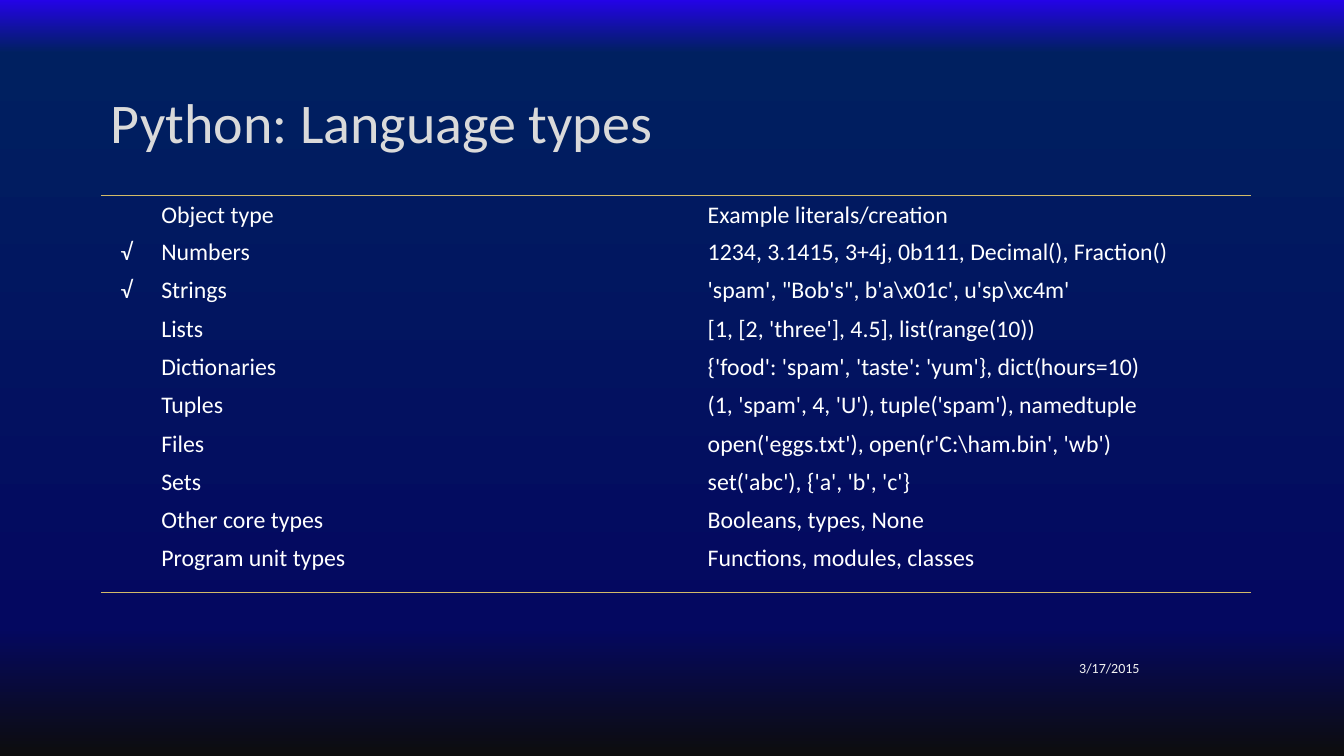
import pptx
import pptx.dml.color
import pptx.enum.text
import pptx.oxml
import pptx.oxml.ns
import pptx.util
from pptx.util import Inches

ALIGN = pptx.enum.text.PP_ALIGN
ANCHOR = pptx.enum.text.MSO_ANCHOR
NS = pptx.oxml.ns.nsdecls("a")

BACKGROUND_STOPS = [(0, "2403E7"), (7, "002060"), (83, "040860"), (100, "0D0D0D")]
GOLD = "D3BA68"
COLUMN_WIDTHS = [0.51, 5.42, 5.48]
ROW_HEIGHT, LAST_ROW_HEIGHT = 0.38, 0.52
LANGUAGE_TYPES = [
    ("", "Object type", "Example literals/creation"),
    ("√", "Numbers", "1234, 3.1415, 3+4j, 0b111, Decimal(), Fraction()"),
    ("√", "Strings", "'spam', \"Bob's\", b'a\\x01c', u'sp\\xc4m'"),
    ("", "Lists", "[1, [2, 'three'], 4.5], list(range(10))"),
    ("", "Dictionaries", "{'food': 'spam', 'taste': 'yum'}, dict(hours=10)"),
    ("", "Tuples", "(1, 'spam', 4, 'U'), tuple('spam'), namedtuple"),
    ("", "Files", "open('eggs.txt'), open(r'C:\\ham.bin', 'wb')"),
    ("", "Sets", "set('abc'), {'a', 'b', 'c'}"),
    ("", "Other core types", "Booleans, types, None"),
    ("", "Program unit types", "Functions, modules, classes"),
]


def rgb(value):
    return pptx.dml.color.RGBColor.from_string(value)


def xml(markup):
    """Parse a fragment whose root element holds the {ns} field."""
    return pptx.oxml.parse_xml(markup.replace("{ns}", NS))


def write(frame, text, size=17, color="FFFFFF", align=ALIGN.LEFT, font="Calibri"):
    """Put one formatted run in a text frame and return the run."""
    paragraph = frame.paragraphs[0]
    paragraph.alignment = align
    run = paragraph.add_run()
    run.text = text
    run.font.size = pptx.util.Pt(size)
    run.font.name = font
    run.font.color.rgb = rgb(color)
    return run


class TypesSlide:
    def __init__(self, deck):
        self.slide = deck.slides.add_slide(deck.slide_layouts[5])

    def background(self, stops):
        fill = self.slide.background.fill
        fill.gradient()
        fill.gradient_angle = 270
        stop_list = next(self.slide.element.iter(pptx.oxml.ns.qn("a:gsLst")))
        for stop in list(stop_list):
            stop_list.remove(stop)
        for position, color in stops:
            stop_list.append(xml(f'<a:gs {{ns}} pos="{position * 1000}">'
                                 f'<a:srgbClr val="{color}"/></a:gs>'))

    def title(self, text, left, top, width, height):
        heading = self.slide.shapes.title
        heading.left, heading.top = Inches(left), Inches(top)
        heading.width, heading.height = Inches(width), Inches(height)
        heading.text_frame.vertical_anchor = ANCHOR.MIDDLE
        run = write(heading.text_frame, text, size=40, color="DADADA")
        properties = run.font.fill._xPr
        properties.insert(0, xml(
            '<a:ln {ns} w="9525"><a:solidFill><a:srgbClr val="404040">'
            '<a:alpha val="10000"/></a:srgbClr></a:solidFill></a:ln>'))
        properties.insert(2, xml(
            '<a:effectLst {ns}><a:outerShdw blurRad="38100" dist="25400" dir="2700000">'
            '<a:srgbClr val="000000"><a:alpha val="60000"/></a:srgbClr>'
            '</a:outerShdw></a:effectLst>'))

    def text(self, text, left, top, width, height, **style):
        box = self.slide.shapes.add_textbox(
            Inches(left), Inches(top), Inches(width), Inches(height))
        box.text_frame.word_wrap = True
        box.text_frame.vertical_anchor = ANCHOR.MIDDLE
        write(box.text_frame, text, **style)

    def borders(self, cell, colors):
        """Draw the sides named in colors (L, R, T, B) and clear the others."""
        properties = cell._tc.get_or_add_tcPr()
        for index, side in enumerate("LRTB"):
            paint = "<a:noFill/>"
            if side in colors:
                paint = f'<a:solidFill><a:srgbClr val="{colors[side]}"/></a:solidFill>'
            properties.insert(index, xml(
                f'<a:ln{side} {{ns}} w="12700">{paint}</a:ln{side}>'))

    def table(self, rows, left, top):
        last = len(rows) - 1
        height = ROW_HEIGHT * last + LAST_ROW_HEIGHT
        grid = self.slide.shapes.add_table(
            len(rows), len(COLUMN_WIDTHS), Inches(left), Inches(top),
            Inches(sum(COLUMN_WIDTHS)), Inches(height)).table
        grid.first_row = grid.horz_banding = False
        for column, width in zip(grid.columns, COLUMN_WIDTHS):
            column.width = Inches(width)
        for r, values in enumerate(rows):
            grid.rows[r].height = Inches(LAST_ROW_HEIGHT if r == last else ROW_HEIGHT)
            for c, value in enumerate(values):
                cell = grid.cell(r, c)
                cell.fill.background()
                cell.margin_left = cell.margin_right = Inches(0.09)
                cell.margin_top = cell.margin_bottom = Inches(0.04 if value else 0)
                cell.vertical_anchor = ANCHOR.BOTTOM if r == 0 else ANCHOR.TOP
                self.borders(cell, {0: {"T": GOLD}, last: {"B": GOLD}}.get(r, {}))
                if value:
                    write(cell.text_frame, value,
                          align=ALIGN.CENTER if c == 0 else ALIGN.LEFT)


def main():
    deck = pptx.Presentation()
    deck.slide_width, deck.slide_height = Inches(13.33), Inches(7.5)
    page = TypesSlide(deck)
    page.background(BACKGROUND_STOPS)
    page.title("Python: Language types", 1, 0.67, 11.32, 1.06)
    page.table(LANGUAGE_TYPES, 1, 1.94)
    page.text("3/17/2015", 8.4, 6.43, 3, 0.4,
              size=10, color="F2F2F2", align=ALIGN.RIGHT)
    deck.save("out.pptx")


if __name__ == "__main__":
    main()
